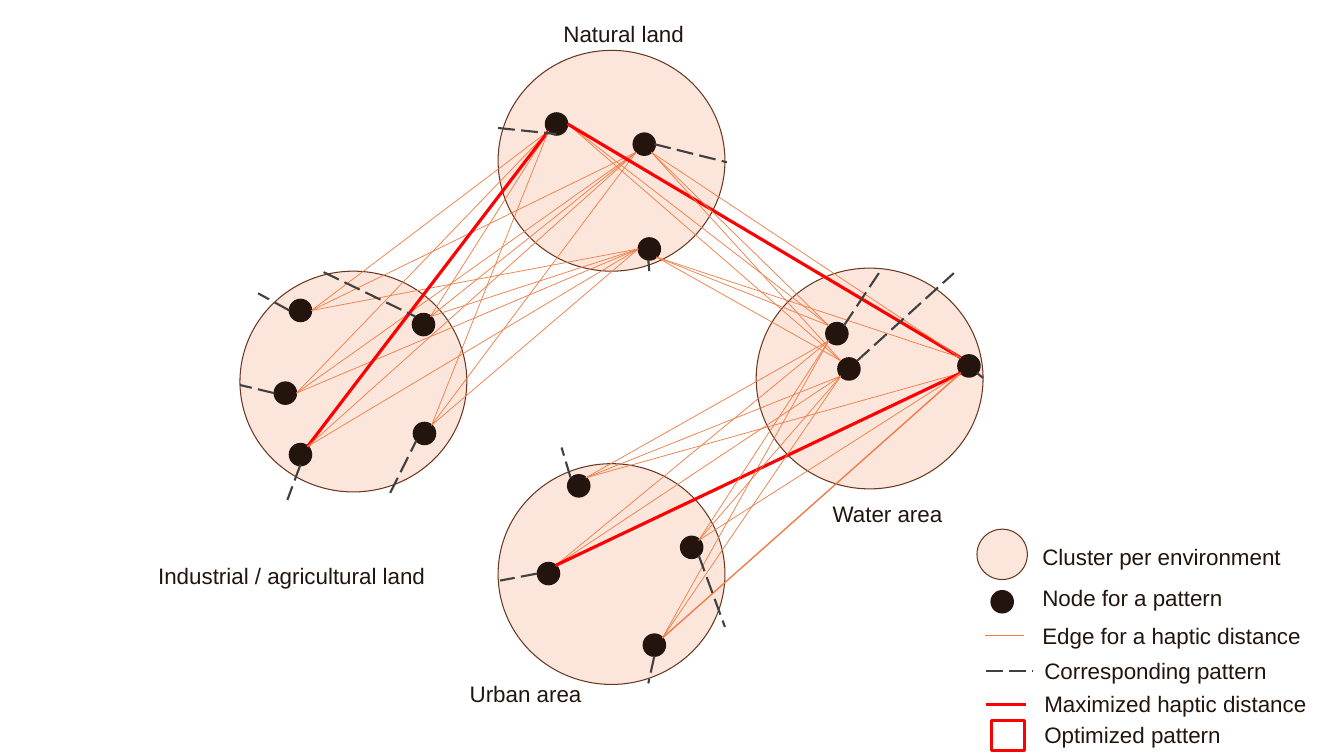
from itertools import product

from lxml import etree
from pptx import Presentation
from pptx.dml.color import RGBColor
from pptx.enum.dml import MSO_LINE
from pptx.enum.shapes import MSO_CONNECTOR, MSO_SHAPE
from pptx.oxml.ns import qn
from pptx.util import Inches, Pt

COLORS = {
    "ink": "23150E",
    "peach": "FCE5DA",
    "brown": "69361F",
    "orange": "F07C46",
    "red": "FF0000",
    "grey": "404040",
}
DOT = 0.22

deck = Presentation()
deck.slide_width, deck.slide_height = Inches(13.33), Inches(7.5)
slide = deck.slides.add_slide(deck.slide_layouts[6])
shapes = slide.shapes


def add_form(kind, box, fill, edge, width):
    """Add an outlined shape; a fill of None leaves it hollow."""
    form = shapes.add_shape(kind, *map(Inches, box))
    form.shadow.inherit = False
    if fill:
        form.fill.solid()
        form.fill.fore_color.rgb = RGBColor.from_string(COLORS[fill])
    else:
        form.fill.background()
    form.line.color.rgb = RGBColor.from_string(COLORS[edge])
    form.line.width = Pt(width)


def add_line(start, end, color, width, dash=None):
    line = shapes.add_connector(MSO_CONNECTOR.STRAIGHT, *map(Inches, start + end))
    line.line.color.rgb = RGBColor.from_string(COLORS[color])
    line.line.width = Pt(width)
    if dash:
        line.line.dash_style = dash
    etree.SubElement(line._element.spPr, qn("a:effectLst"))


# Clusters
for left, top in [(4.94, 0.5), (4.94, 4.6), (2.38, 2.69), (7.5, 2.66)]:
    add_form(MSO_SHAPE.OVAL, (left, top, 2.25, 2.19), "peach", "brown", 0.75)

# Nodes, the last one in the legend
nodes = [
    (5.41, 1.12), (6.28, 1.32), (6.33, 2.36),
    (2.87, 2.97), (4.09, 3.11), (2.72, 3.79), (2.87, 4.4), (4.1, 4.19),
    (8.19, 3.2), (8.31, 3.55), (9.5, 3.52),
    (5.63, 4.71), (5.33, 5.58), (6.75, 5.32), (6.38, 6.29),
    (9.83, 5.86),
]
for left, top in nodes:
    add_form(MSO_SHAPE.OVAL, (left, top, DOT, DOT), "ink", "ink", 1)

# Edges join every node of one cluster to every node of the next
farm = [(3.09, 3.08), (4.27, 3.14), (2.94, 3.9), (3.05, 4.43), (4.28, 4.22)]
wild_west = [(5.44, 1.3), (6.31, 1.51), (6.33, 2.47)]
wild_east = [(5.63, 1.23), (6.46, 1.51), (6.51, 2.55)]
water_top = [(8.22, 3.23), (8.34, 3.58), (9.53, 3.55)]
water_low = [(8.22, 3.38), (8.34, 3.73), (9.53, 3.7)]
town = [(5.81, 4.74), (5.51, 5.61), (6.93, 5.36), (6.57, 6.33)]
longest = [
    (farm[3], wild_west[0]),
    (wild_east[0], water_top[2]),
    (town[1], water_low[2]),
]
bold = (town[3], water_low[2])

for group in [(farm, wild_west), (town, water_low), (wild_east, water_top)]:
    for pair in product(*group):
        if pair in longest:
            add_line(*pair, "red", 2.25)
        else:
            add_line(*pair, "orange", 1 if pair == bold else 0.5)

# Corresponding patterns
patterns = [
    ((4.94, 1.27), (5.52, 1.33)),
    ((6.49, 1.43), (7.21, 1.61)),
    ((6.44, 2.69), (6.43, 2.58)),
    ((8.37, 3.23), (8.75, 2.66)),
    ((8.5, 3.58), (9.46, 2.71)),
    ((9.69, 3.7), (9.75, 3.75)),
    ((6.49, 6.51), (6.43, 6.78)),
    ((6.93, 5.51), (7.19, 6.22)),
    ((5.33, 5.69), (4.96, 5.76)),
    ((5.66, 4.74), (5.57, 4.44)),
    ((3.87, 4.89), (4.13, 4.37)),
    ((2.98, 4.61), (2.85, 4.96)),
    ((2.72, 3.9), (2.38, 3.82)),
    ((2.87, 3.08), (2.56, 2.91)),
    ((3.21, 2.7), (4.12, 3.14)),
]
for start, end in patterns:
    add_line(start, end, "grey", 1.5, MSO_LINE.LONG_DASH)

# Legend keys
add_form(MSO_SHAPE.OVAL, (9.69, 5.25, 0.5, 0.5), "peach", "brown", 0.75)
add_line((9.77, 6.3), (10.16, 6.3), "orange", 0.5)
add_line((9.78, 6.66), (10.24, 6.66), "grey", 1.5, MSO_LINE.LONG_DASH)
add_line((9.78, 6.99), (10.18, 6.99), "red", 2.25)
add_form(MSO_SHAPE.RECTANGLE, (9.83, 7.15, 0.33, 0.3), None, "red", 2.25)

# Cluster names and legend text
labels = [
    ("Natural land", 5.49, 0.15, 1.48),
    ("Water area", 8.16, 4.91, 1.48),
    ("Urban area", 4.56, 6.7, 1.48),
    ("Industrial / agricultural land", 1.47, 5.53, 3),
    ("Cluster per environment", 10.24, 5.34, 2.97),
    ("Node for a pattern", 10.24, 5.75, 2.97),
    ("Edge for a haptic distance", 10.24, 6.12, 2.97),
    ("Corresponding pattern", 10.26, 6.47, 2.97),
    ("Maximized haptic distance", 10.26, 6.8, 2.97),
    ("Optimized pattern", 10.26, 7.11, 2.97),
]
for text, left, top, width in labels:
    frame = shapes.add_textbox(*map(Inches, (left, top, width, 0.37))).text_frame
    frame.word_wrap = True
    run = frame.paragraphs[0].add_run()
    run.text = text
    run.font.name = "Arial"
    run.font.size = Pt(16)
    run.font.color.rgb = RGBColor.from_string(COLORS["ink"])

deck.save("out.pptx")
